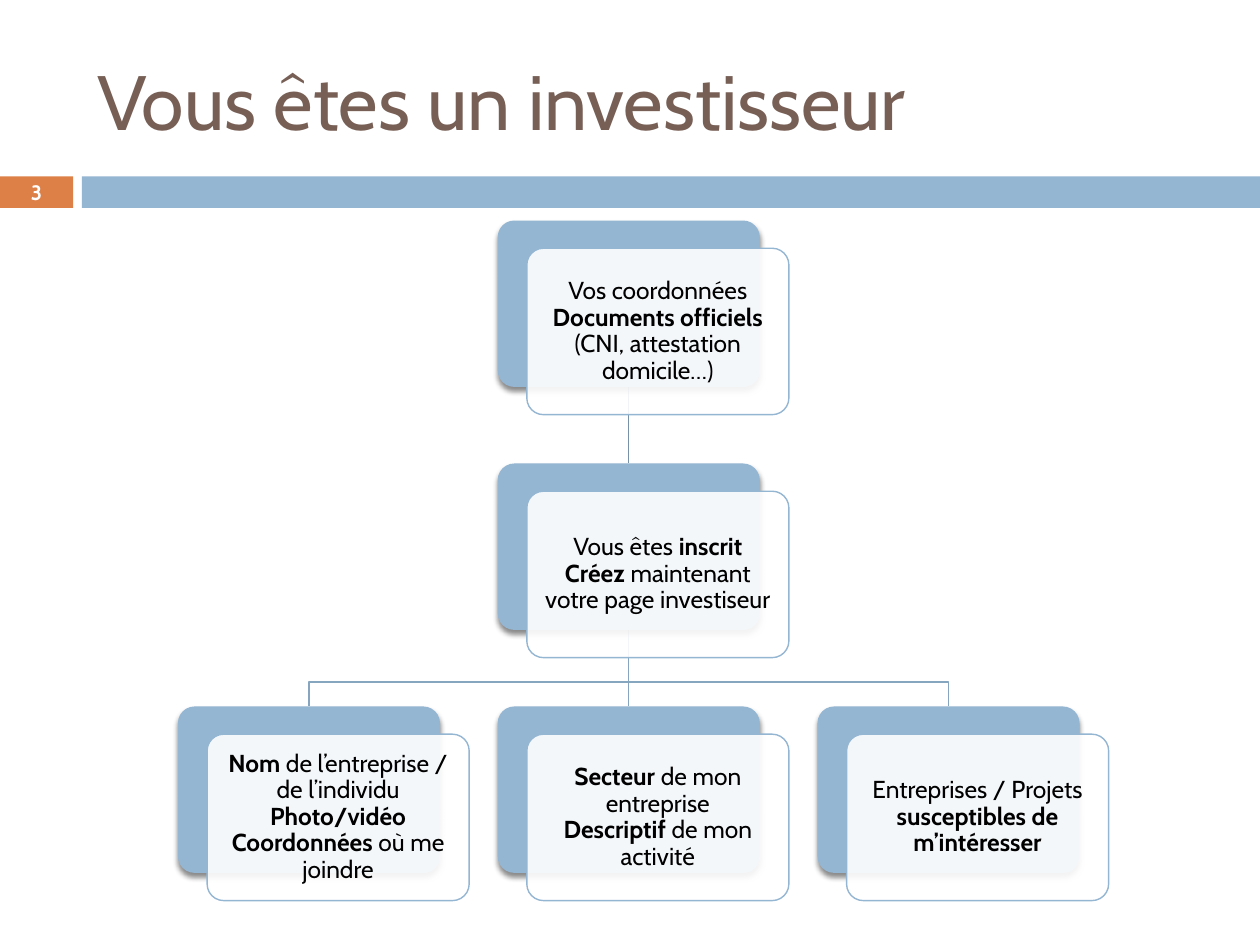
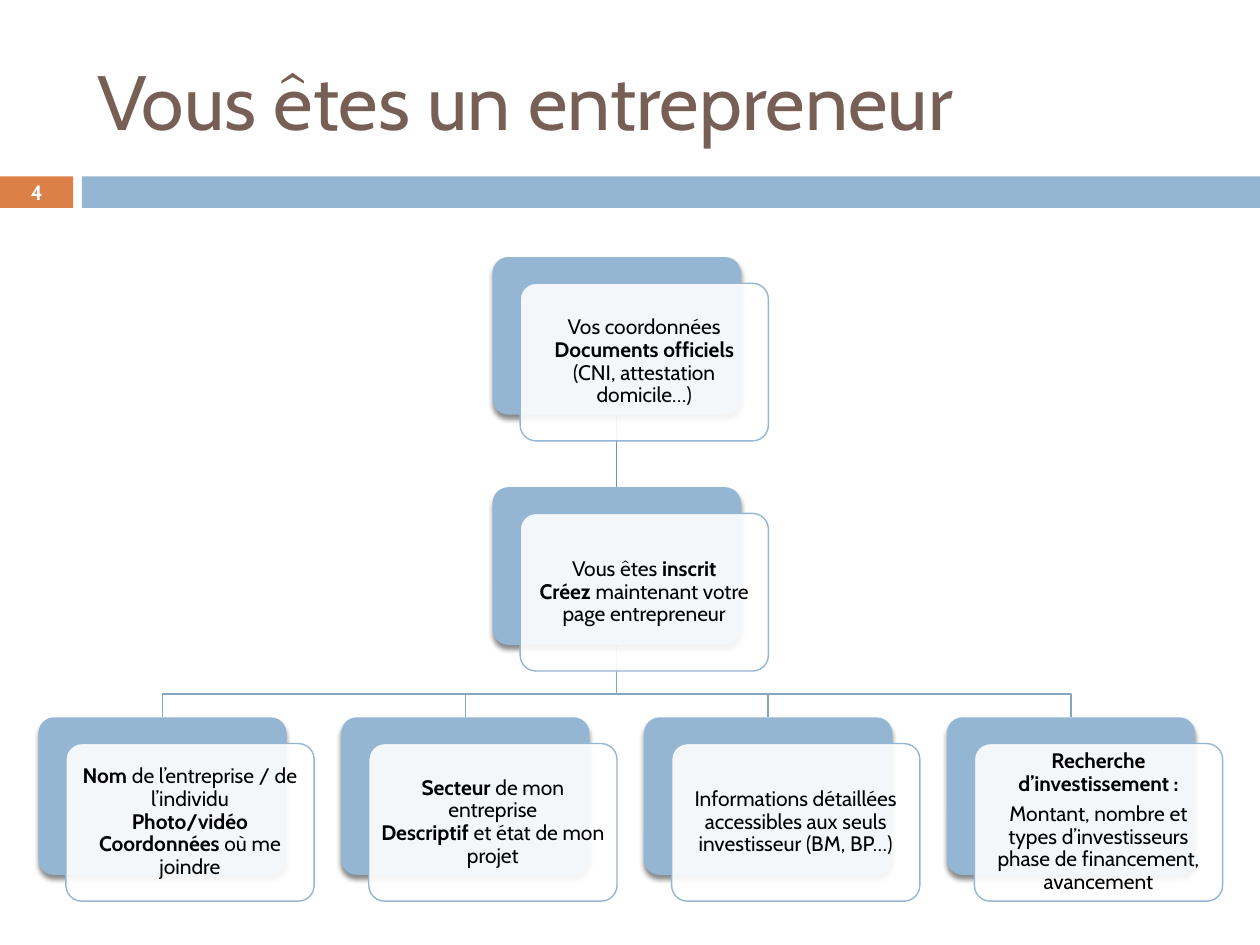
from lxml.etree import SubElement
from pptx import Presentation
from pptx.dml.color import RGBColor
from pptx.enum.shapes import MSO_CONNECTOR as CONNECTOR, MSO_SHAPE as SHAPE
from pptx.enum.text import MSO_ANCHOR as ANCHOR, PP_ALIGN as ALIGN
from pptx.oxml.ns import qn
from pptx.util import Inches, Pt

BROWN = RGBColor(0x77, 0x5F, 0x55)
ORANGE = RGBColor(0xDD, 0x80, 0x47)
BLUE = RGBColor(0x94, 0xB6, 0xD2)
BRANCH_BLUE = RGBColor(0x86, 0xA5, 0xBF)
TRUNK_BLUE = RGBColor(0x77, 0x92, 0xA8)
WHITE = RGBColor(0xFF, 0xFF, 0xFF)
BLACK = RGBColor(0, 0, 0)
FONT = "Cabin"
LINE_WIDTH = Pt(0.79)

# Proportions shared by both charts
CARD_RATIO = 0.635      # card height to card width
COLUMN_PITCH = 1.22     # column step to card width
ROW_PITCH = 1.46        # row step to card height
BEND = 0.68             # where branches turn, within the gap between rows

# Steps are lists of paragraphs, each a list of (text, bold) runs
COORDINATES = [[("Vos coordonnées\n", False), ("Documents officiels ", True),
                ("(CNI, attestation domicile…)", False)]]
IDENTITY = [[("Nom", True), (" de l’entreprise / de l’individu\n", False),
             ("Photo/vidéo\nCoordonnées", True), (" où me joindre", False)]]


def registered(page):
    return [[("Vous êtes ", False), ("inscrit\nCréez ", True),
             (f"maintenant votre page {page}", False)]]


def sector(subject):
    return [[("Secteur", True), (" de mon entreprise\n", False),
             ("Descriptif", True), (f" {subject}", False)]]


class Deck:
    """Holds the style and the current slide."""

    def __init__(self):
        self.prs = Presentation()
        self.prs.slide_width, self.prs.slide_height = Inches(10), Inches(7.5)
        self.slide = None

    def add_text(self, paragraph, text, size, color, bold=False):
        run = paragraph.add_run()
        run.text = text
        run.font.name, run.font.size, run.font.bold = FONT, Pt(size), bold
        run.font.color.rgb = color

    def box(self, kind, left, top, width, height, fill):
        box = self.slide.shapes.add_shape(
            kind, Inches(left), Inches(top), Inches(width), Inches(height))
        box.shadow.inherit = False
        box.fill.solid()
        box.fill.fore_color.rgb = fill
        box.line.fill.background()
        return box

    def new_slide(self, heading, number):
        self.slide = self.prs.slides.add_slide(self.prs.slide_layouts[5])
        # Bands, with the page number in the short one
        page = self.box(SHAPE.RECTANGLE, 0, 1.4, 0.58, 0.25, ORANGE)
        self.box(SHAPE.RECTANGLE, 0.65, 1.4, 9.35, 0.25, BLUE)
        frame = page.text_frame
        frame.margin_top = frame.margin_bottom = 0
        frame.vertical_anchor = ANCHOR.MIDDLE
        frame.paragraphs[0].alignment = ALIGN.CENTER
        self.add_text(frame.paragraphs[0], str(number), 11.9, WHITE, True)
        # Title
        title = self.slide.shapes.title
        title.left, title.top = Inches(0.67), Inches(0.25)
        title.width, title.height = Inches(8.92), Inches(1.08)
        title.text_frame.vertical_anchor = ANCHOR.MIDDLE
        title.text_frame.paragraphs[0].alignment = ALIGN.LEFT
        self.add_text(title.text_frame.paragraphs[0], heading, 44, BROWN)

    def add_shadow(self, shape):
        effects = shape.element.spPr.find(qn("a:effectLst"))
        shadow = SubElement(effects, qn("a:outerShdw"), blurRad=str(Pt(3)),
                            dist=str(Pt(2.4)), dir="5400000", rotWithShape="0")
        color = SubElement(shadow, qn("a:srgbClr"), val=str(BLACK))
        SubElement(color, qn("a:alpha"), val="45000")

    def fill_card(self, card, paragraphs, size, inset):
        frame = card.text_frame
        frame.word_wrap = True
        frame.vertical_anchor = ANCHOR.MIDDLE
        frame.margin_left = frame.margin_right = Inches(inset)
        frame.margin_top = frame.margin_bottom = Inches(inset)
        for i, runs in enumerate(paragraphs):
            paragraph = frame.add_paragraph() if i else frame.paragraphs[0]
            paragraph.alignment = ALIGN.CENTER
            paragraph.line_spacing = 0.9
            paragraph.space_after = Pt(0.35 * size)
            for text, bold in runs:
                for j, line in enumerate(text.split("\n")):
                    if j:
                        paragraph.add_line_break()
                    if line:
                        self.add_text(paragraph, line, size, BLACK, bold)
        # Line breaks take the size of the text around them
        for line_break in card.element.iter(qn("a:br")):
            SubElement(line_break, qn("a:rPr"), sz=str(size * 100))

    def step(self, left, top, width, paragraphs, size, inset):
        """Blue plate with a translucent card in front; returns the plate."""
        height = width * CARD_RATIO
        plate = self.box(SHAPE.ROUNDED_RECTANGLE, left, top, width, height, BLUE)
        self.add_shadow(plate)
        card = self.box(SHAPE.ROUNDED_RECTANGLE, left + width / 9,
                        top + height / 6, width, height, WHITE)
        fill_color = card.element.spPr.find(qn("a:solidFill"))[0]
        SubElement(fill_color, qn("a:alpha"), val="90000")
        card.line.color.rgb, card.line.width = BLUE, LINE_WIDTH
        for part in (plate, card):
            part.adjustments[0] = 0.1
        self.fill_card(card, paragraphs, size, inset)
        return plate

    def trunk(self, upper, lower, color):
        line = self.slide.shapes.add_connector(CONNECTOR.STRAIGHT, 0, 0, 0, 0)
        line.begin_connect(upper, 2)
        line.end_connect(lower, 0)
        line.line.color.rgb, line.line.width = color, LINE_WIDTH
        SubElement(line.element.spPr, qn("a:effectLst"))
        return line

    def branch(self, upper, lower):
        start_x, start_y = upper.left + upper.width // 2, upper.top + upper.height
        end_x, end_y = lower.left + lower.width // 2, lower.top
        bend_y = start_y + round(BEND * (end_y - start_y))
        builder = self.slide.shapes.build_freeform(start_x, start_y)
        builder.add_line_segments(
            [(start_x, bend_y), (end_x, bend_y), (end_x, end_y)], close=False)
        line = builder.convert_to_shape()
        line.shadow.inherit = False
        line.fill.background()
        line.line.color.rgb, line.line.width = BRANCH_BLUE, LINE_WIDTH
        return line

    def journey(self, left, top, width, size, inset, trunk_steps, details):
        """Two steps in a column, then a centred row of details."""
        row = width * CARD_RATIO * ROW_PITCH
        start, account = [
            self.step(left, top + i * row, width, text, size, inset)
            for i, text in enumerate(trunk_steps)]
        middle = (len(details) - 1) / 2
        leaves = [
            self.step(left + (i - middle) * width * COLUMN_PITCH, top + 2 * row,
                      width, text, size, inset)
            for i, text in enumerate(details)]
        # Links, placed behind every step
        links = [self.trunk(account, leaf, BRANCH_BLUE) if i == middle
                 else self.branch(account, leaf)
                 for i, leaf in enumerate(leaves)]
        links.append(self.trunk(start, account, TRUNK_BLUE))
        for link in links:
            start.element.addprevious(link.element)


def main():
    deck = Deck()

    # Investor
    deck.new_slide("Vous êtes un investisseur", 3)
    deck.journey(3.95, 1.75, 2.08, 14, 0.06,
                 [COORDINATES, registered("investiseur")],
                 [IDENTITY, sector("de mon activité"),
                  [[("Entreprises / Projets ", False),
                    ("susceptibles de m’intéresser", True)]]])

    # Entrepreneur
    deck.new_slide("Vous êtes un entrepreneur", 4)
    deck.journey(3.91, 2.04, 1.97, 12, 0.05,
                 [COORDINATES, registered("entrepreneur")],
                 [IDENTITY, sector("et état de mon projet"),
                  [[("Informations détaillées accessibles aux seuls "
                     "investisseur (BM, BP…)", False)]],
                  [[("Recherche d’investissement :", True)],
                   [("Montant, nombre et types d’investisseurs "
                     "phase de financement, avancement", False)]]])

    deck.prs.save("out.pptx")


if __name__ == "__main__":
    main()
